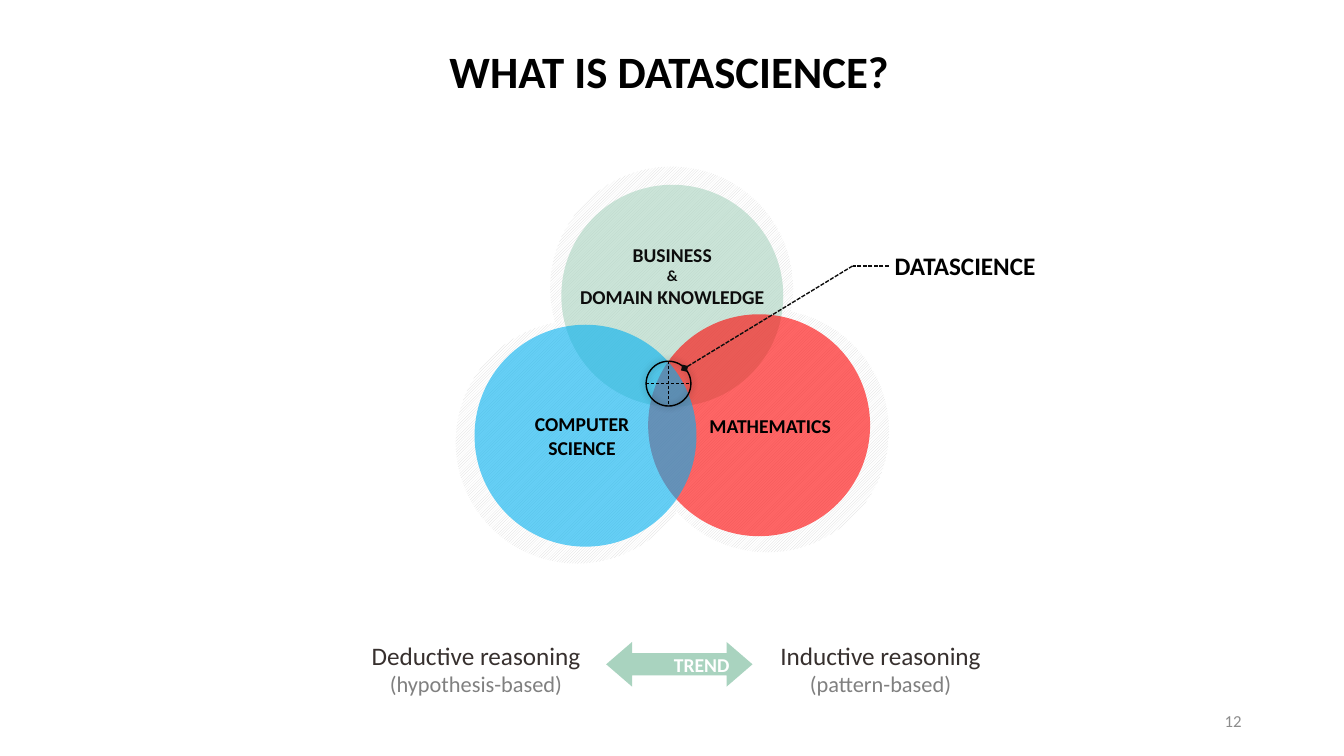
from lxml import etree
from pptx import Presentation
from pptx.dml.color import RGBColor
from pptx.enum import dml, shapes, text
from pptx.oxml import ns
from pptx.util import Pt

FONT = "Calibri"
COLORS = {
    "black": "000000", "ink": "0D0D0D", "brown": "37302E", "gray": "808080",
    "number": "8C8C8C", "hatch": "D9D9D9", "white": "FFFFFF",
    "green": "A9D3BF", "red": "FF0000", "blue": "00B0F0",
}
LEFT, CENTER, RIGHT = text.PP_ALIGN.LEFT, text.PP_ALIGN.CENTER, text.PP_ALIGN.RIGHT
SHAPE = shapes.MSO_SHAPE
DASH = dml.MSO_LINE


def rgb(name):
    return RGBColor.from_string(COLORS[name])


def add_xml(parent, tag, **attrs):
    el = etree.SubElement(parent, ns.qn(tag))
    for key, value in attrs.items():
        el.set(key, str(value))
    return el


def write(sp, lines, align=CENTER, bold=False, wrap=False,
          anchor=text.MSO_ANCHOR.MIDDLE, insets=(7.2, 3.6, 7.2, 3.6)):
    """Fill a shape with lines of (text, size, color); insets run left, top, right, bottom."""
    tf = sp.text_frame
    tf.word_wrap = wrap
    tf.vertical_anchor = anchor
    tf.margin_left, tf.margin_top, tf.margin_right, tf.margin_bottom = map(Pt, insets)
    for i, (words, size, color) in enumerate(lines):
        p = tf.add_paragraph() if i else tf.paragraphs[0]
        p.alignment = align
        r = p.add_run()
        r.text = words
        r.font.name, r.font.size, r.font.bold = FONT, Pt(size), bold
        r.font.color.rgb = rgb(color)


def add_label(parent, box, lines, grow=True, **style):
    sp = parent.add_textbox(*map(Pt, box))
    write(sp, lines, **style)
    if grow:
        sp.text_frame.auto_size = text.MSO_AUTO_SIZE.SHAPE_TO_FIT_TEXT


def add_plain(parent, kind, box, color=None, opacity=100):
    sp = parent.add_shape(kind, *map(Pt, box))
    sp.shadow.inherit = False
    sp.line.fill.background()
    if color:
        sp.fill.solid()
        sp.fill.fore_color.rgb = rgb(color)
        if opacity < 100:
            clr = sp.fill._xPr.find(".//" + ns.qn("a:srgbClr"))
            add_xml(clr, "a:alpha", val=opacity * 1000)
    else:
        sp.fill.background()
    return sp


def add_line(parent, start, end, color, width, dash):
    cx = parent.add_connector(shapes.MSO_CONNECTOR.STRAIGHT, *map(Pt, (*start, *end)))
    cx.line.color.rgb = rgb(color)
    cx.line.width = Pt(width)
    cx.line.dash_style = dash
    add_xml(cx._element.spPr, "a:effectLst")
    return cx


def add_venn(s, x, y):
    halos = s.shapes.add_group_shape().shapes
    for dx, dy in ((67.5, 0), (0, 110), (136, 102)):
        sp = add_plain(halos, SHAPE.OVAL, (x + dx, y + dy, 173.5, 173.5))
        sp.fill.patterned()
        sp.fill.pattern = dml.MSO_PATTERN.DARK_UPWARD_DIAGONAL
        sp.fill.fore_color.rgb = rgb("hatch")
        sp.fill.back_color.rgb = rgb("white")

    fields = (
        (75.5, 13, "green", (7.2, 3, 7.2, 31.5),
         [("BUSINESS", 14, "ink"), ("&", 11, "ink"), ("DOMAIN KNOWLEDGE", 14, "ink")]),
        (137.5, 105.5, "red", (23, 3.6, 7.2, 3.6), [("MATHEMATICS", 14, "black")]),
        (13.5, 113, "blue", (7.2, 3.6, 12, 3.6),
         [("COMPUTER", 14, "black"), ("SCIENCE", 14, "black")]),
    )
    circles = s.shapes.add_group_shape().shapes
    for dx, dy, color, insets, lines in fields:
        sp = add_plain(circles, SHAPE.OVAL, (x + dx, y + dy, 158.5, 158.5), color, 60)
        write(sp, lines, bold=True, insets=insets)


def add_target(s, x, y, size):
    """Crosshair ring over the overlap of the circles."""
    mid = size / 2
    for start, end in (((x + mid, y), (x + mid, y + size)),
                       ((x, y + mid), (x + size, y + mid))):
        add_line(s.shapes, start, end, "black", 0.5, DASH.DASH)
    ring = add_plain(s.shapes, SHAPE.OVAL, (x, y, size, size))
    ring.line.color.rgb = rgb("black")
    ring.line.width = Pt(1)
    effects = ring._element.spPr.find(ns.qn("a:effectLst"))
    shadow = add_xml(effects, "a:outerShdw", blurRad=Pt(5), dist=0, dir=0)
    clr = add_xml(shadow, "a:srgbClr", val=COLORS["black"])
    add_xml(clr, "a:alpha", val=40000)


def add_callout(s, x, y, target):
    """Label at (x, y) with a bent leader down to the target point."""
    add_label(s.shapes, (x, y, 116, 29), [("DATASCIENCE", 18, "black")],
              align=LEFT, bold=True, anchor=text.MSO_ANCHOR.TOP)
    leader = s.shapes.add_group_shape().shapes
    start, bend = (x + 3, y + 15), (x - 23, y + 15)
    add_line(leader, start, bend, "ink", 1, DASH.SQUARE_DOT)
    cx = add_line(leader, bend, target, "ink", 1, DASH.SQUARE_DOT)
    add_xml(cx.line._get_or_add_ln(), "a:tailEnd", type="diamond")


def add_trend(s, x, y):
    trend = s.shapes.add_group_shape().shapes
    for dx, title, basis in ((0, "Deductive reasoning", "(hypothesis-based)"),
                             (289, "Inductive reasoning", "(pattern-based)")):
        add_label(trend, (x + dx, y, 184, 48), [(title, 18, "brown"), (basis, 16, "gray")],
                  wrap=True, anchor=text.MSO_ANCHOR.TOP)
    arrow = add_plain(trend, SHAPE.LEFT_RIGHT_ARROW, (x + 185, y + 5, 104.5, 32), "green")
    arrow.adjustments[0], arrow.adjustments[1] = 0.5, 0.58
    write(arrow, [("TREND", 14, "white")], align=RIGHT, bold=True, wrap=True)


def main():
    prs = Presentation()
    prs.slide_width, prs.slide_height = Pt(960), Pt(540)
    s = prs.slides.add_slide(prs.slide_layouts[6])
    add_label(s.shapes, (678, 500.5, 216, 28.5), [("12", 12, "number")],
              grow=False, align=RIGHT, wrap=True)
    add_venn(s, 325.5, 119)
    add_trend(s, 248, 453.5)
    add_label(s.shapes, (314, 28, 332, 46), [("WHAT IS DATASCIENCE?", 32, "black")],
              align=LEFT, bold=True, anchor=text.MSO_ANCHOR.TOP)
    add_target(s, 461.5, 258, 32)
    add_callout(s, 632, 175, target=(489, 263))
    prs.save("out.pptx")


if __name__ == "__main__":
    main()
